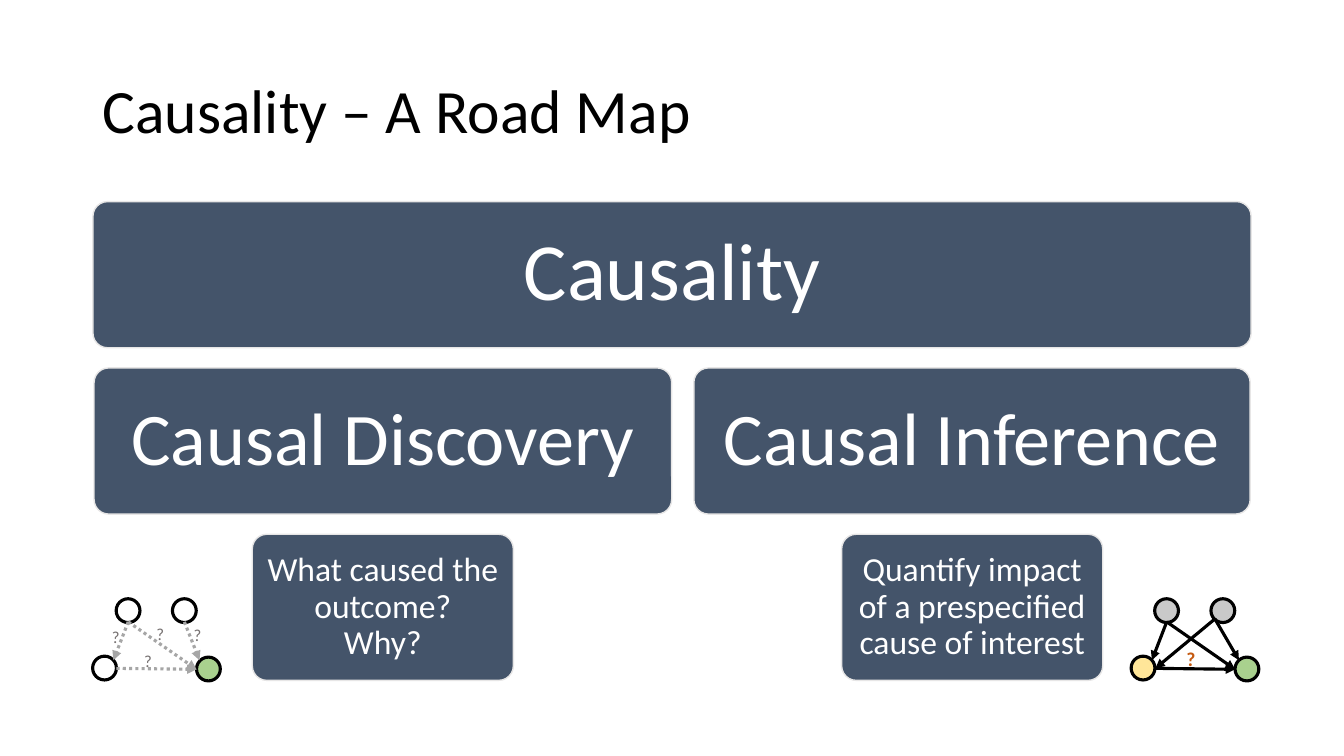
from pptx import Presentation
from pptx.dml.color import RGBColor
from pptx.enum.dml import MSO_LINE
from pptx.enum.shapes import MSO_CONNECTOR, MSO_SHAPE
from pptx.enum.text import MSO_ANCHOR, PP_ALIGN
from pptx.oxml.ns import qn
from pptx.util import Pt
from lxml import etree

OVAL, ROUNDED = MSO_SHAPE.OVAL, MSO_SHAPE.ROUNDED_RECTANGLE
STRAIGHT, DOTTED = MSO_CONNECTOR.STRAIGHT, MSO_LINE.ROUND_DOT
TOP, MIDDLE = MSO_ANCHOR.TOP, MSO_ANCHOR.MIDDLE
LEFT, CENTER = PP_ALIGN.LEFT, PP_ALIGN.CENTER


def rgb(value):
    return RGBColor.from_string(value)


def write(s, text, font="Calibri", size=12, color="000000", bold=False,
          align=LEFT, anchor=TOP, inset=(7.2, 3.6), spacing=1):
    tf = s.text_frame
    tf.word_wrap = True
    tf.vertical_anchor = anchor
    tf.margin_left = tf.margin_right = Pt(inset[0])
    tf.margin_top = tf.margin_bottom = Pt(inset[1])
    p = tf.paragraphs[0]
    p.text = text
    p.alignment, p.line_spacing = align, spacing
    for r in p.runs:
        r.font.name, r.font.size, r.font.bold = font, Pt(size), bold
        r.font.color.rgb = rgb(color)


class Deck:
    navy, pale, black, white = "44546A", "E7E6E6", "000000", "FFFFFF"
    green, yellow, silver = "A9D18E", "FFE699", "C9C9C9"
    gray, dark_gray, orange = "A6A6A6", "767171", "C55A11"
    stroke, node_size = 2.25, 17

    def __init__(self, slide):
        self.shapes = slide.shapes

    def shape(self, kind, x, y, w, h, fill, line, weight):
        s = self.shapes.add_shape(kind, Pt(x), Pt(y), Pt(w), Pt(h))
        s.shadow.inherit = False
        if fill:
            s.fill.solid()
            s.fill.fore_color.rgb = rgb(fill)
        else:
            s.fill.background()
        s.line.color.rgb, s.line.width = rgb(line), Pt(weight)
        return s

    def text(self, text, x, y, w, h, **style):
        write(self.shapes.add_textbox(Pt(x), Pt(y), Pt(w), Pt(h)), text, **style)

    def box(self, text, x, y, w, size, inset):
        s = self.shape(ROUNDED, x, y, w, 104.4, self.navy, self.pale, 1)
        s.adjustments[0] = 0.1
        write(s, text, size=size, color=self.white, align=CENTER,
              anchor=MIDDLE, inset=(inset, inset), spacing=0.9)

    def node(self, x, y, fill):
        self.shape(OVAL, x, y, self.node_size, self.node_size, fill,
                   self.black, self.stroke)

    def arrow(self, x1, y1, x2, y2, color, dash):
        s = self.shapes.add_connector(STRAIGHT, Pt(x1), Pt(y1), Pt(x2), Pt(y2))
        s.line.color.rgb, s.line.width = rgb(color), Pt(self.stroke)
        if dash:
            s.line.dash_style = dash
        etree.SubElement(s.line._get_or_add_ln(), qn("a:tailEnd"), type="triangle")
        etree.SubElement(s._element.spPr, qn("a:effectLst"))

    def graph(self, x, fills, edges, color, dash=None):
        for (dx, y), fill in zip(NODES, fills):
            self.node(x + dx, y, fill)
        for x1, y1, x2, y2 in edges:
            self.arrow(x + x1, y1, x + x2, y2, color, dash)


prs = Presentation()
prs.slide_width, prs.slide_height = Pt(960), Pt(540)
deck = Deck(prs.slides.add_slide(prs.slide_layouts[6]))

# Title
deck.text("Causality – A Road Map", 66.2, 28.8, 828, 104.4,
          size=44, anchor=MIDDLE, spacing=0.9)

# Road map: text, left, row, width, size, inset
ROW_TOP, ROW_STEP = 144, 118.8
for text, x, row, w, size, inset in [
    ("Causality", 66.4, 0, 827.3, 58, 15),
    ("Causal Discovery", 67.2, 1, 412.6, 53, 15),
    ("What caused the outcome?\vWhy?", 180.2, 2, 186.5, 24, 6),
    ("Causal Inference", 495.6, 1, 397.4, 53, 15),
    ("Quantify impact of a prespecified cause of interest",
     601.2, 2, 186.5, 24, 6),
]:
    deck.box(text, x, ROW_TOP + row * ROW_STEP, w, size, inset)

# Causal graphs: nodes are cause, outcome and two upper factors
NODES = [(0, 468.7), (74.2, 469.4), (57, 427.7), (16.8, 427.7)]
FACTOR_TO_CAUSE = (25.4, 444.2, 14.8, 471.6)
FACTOR_TO_OUTCOME = (25.4, 444.2, 74.2, 478.1)
CAUSE_TO_OUTCOME = (17, 477.4, 74.2, 478.1)
DISCOVERY_X, INFERENCE_X = 66.2, 808

deck.graph(DISCOVERY_X, [None, deck.green, None, None],
           [FACTOR_TO_CAUSE, FACTOR_TO_OUTCOME,
            (65.5, 444.2, 76.3, 471.6), CAUSE_TO_OUTCOME],
           deck.gray, DOTTED)
deck.graph(INFERENCE_X, [deck.yellow, deck.green, deck.silver, deck.silver],
           [FACTOR_TO_CAUSE, FACTOR_TO_OUTCOME, (59.8, 442.1, 17.3, 477.4),
            (59.8, 442.1, 77, 471.6), CAUSE_TO_OUTCOME],
           deck.black)

# Question marks on the unknown edges
for x, y in [(95.8, 461.5), (104.6, 442.1), (131.2, 442.8), (72.9, 444.2)]:
    deck.text("?", x, y, 17.3, 21.6, color=deck.dark_gray)
deck.text("?", 840.4, 458.6, 17.3, 24.5, size=14, color=deck.orange, bold=True)

prs.save("out.pptx")
